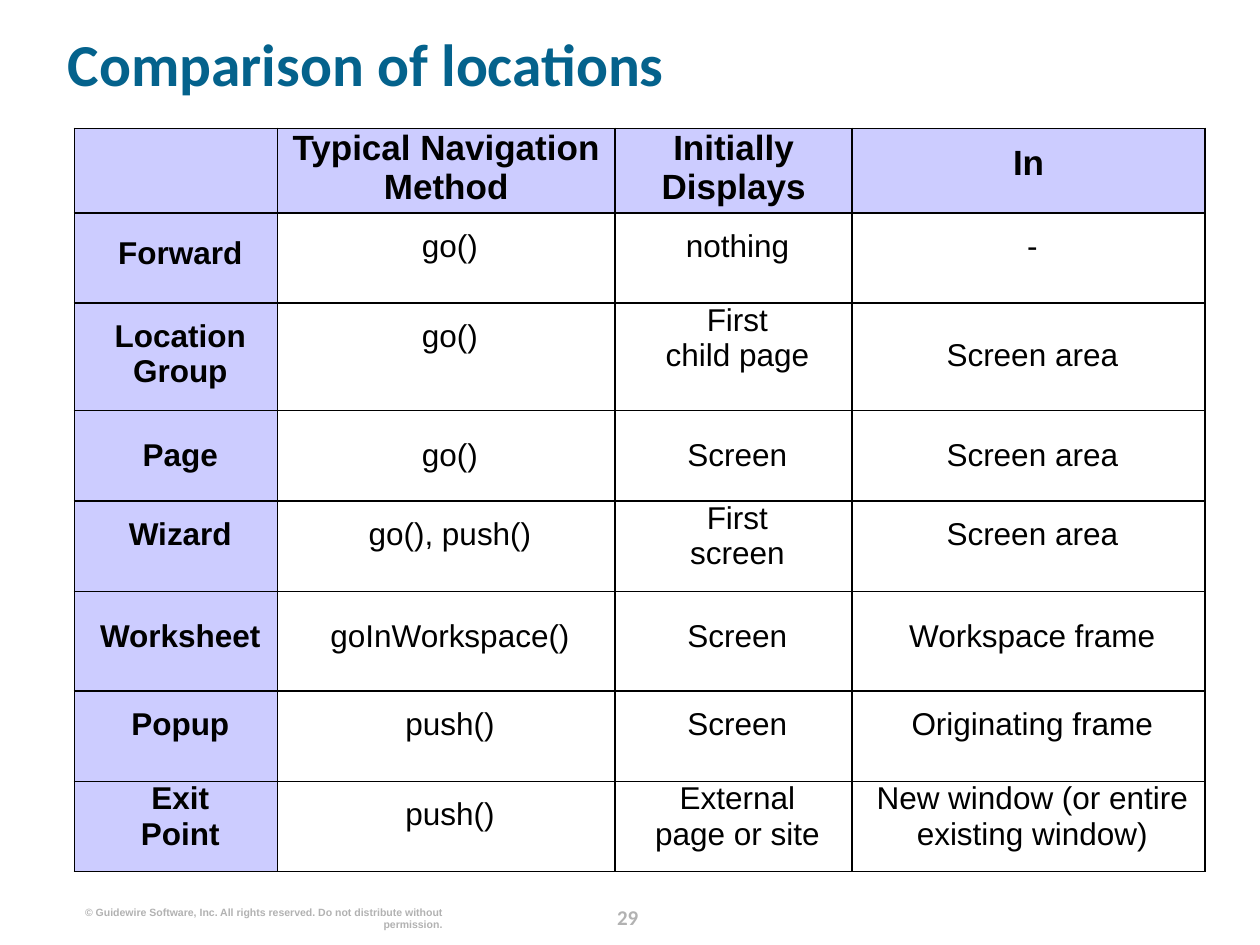
from dataclasses import dataclass

from lxml import etree
from pptx import Presentation
from pptx.dml.color import RGBColor
from pptx.enum.text import MSO_ANCHOR, MSO_AUTO_SIZE, PP_ALIGN
from pptx.oxml.ns import qn
from pptx.util import Cm, Pt

LEFT, CENTER, RIGHT = PP_ALIGN.LEFT, PP_ALIGN.CENTER, PP_ALIGN.RIGHT
TOP, MIDDLE = MSO_ANCHOR.TOP, MSO_ANCHOR.MIDDLE
FIXED = MSO_AUTO_SIZE.NONE
SIDES = ("a:lnL", "a:lnR", "a:lnT", "a:lnB")


@dataclass(frozen=True)
class Font:
    name: str
    size: float
    color: str
    bold: bool = False


@dataclass(frozen=True)
class Theme:
    title: Font = Font("Calibri", 34, "04628C", True)
    head: Font = Font("Arial", 20, "000000", True)
    label: Font = Font("Arial", 18, "000000", True)
    body: Font = Font("Arial", 18, "000000")
    number: Font = Font("Calibri", 12, "B2B2B2", True)
    legal: Font = Font("Arial", 6, "B2B2B2", True)
    band: str = "CCCCFF"
    border: str = "000000"
    line: float = 1.12


@dataclass(frozen=True)
class Box:
    left: float
    top: float
    width: float
    height: float


@dataclass(frozen=True)
class Row:
    height: float
    texts: tuple[str, ...]
    drops: tuple[int, ...]


THEME = Theme()
GRID = Box(1.5, 2.59, 22.79, 14.98)
WIDTHS = (4.09, 6.81, 4.78, 7.11)
ROWS = (
    Row(1.7, ("", "Typical Navigation\nMethod", "Initially\nDisplays", "In"),
        (0, 0, 0, 8)),
    Row(1.82, ("Forward", "go()", "nothing", "-"), (12, 8, 8, 8)),
    Row(2.17, ("Location\nGroup", "go()", "First\nchild page", "Screen area"),
        (8, 8, 0, 18)),
    Row(1.82, ("Page", "go()", "Screen", "Screen area"), (14,) * 4),
    Row(1.82, ("Wizard", "go(), push()", "First\nscreen", "Screen area"),
        (8, 8, 0, 8)),
    Row(2.01, ("Worksheet", "goInWorkspace()", "Screen", "Workspace frame"),
        (14,) * 4),
    Row(1.82, ("Popup", "push()", "Screen", "Originating frame"), (8,) * 4),
    Row(1.82, ("Exit\nPoint", "push()", "External\npage or site",
               "New window (or entire existing window)"), (0, 8, 0, 0)),
)


def write(frame, text: str, font: Font, align) -> None:
    para = frame.paragraphs[0]
    para.text = text
    para.alignment = align
    para.space_before = Pt(0)
    para.font.name = font.name
    para.font.size = Pt(font.size)
    para.font.bold = font.bold
    para.font.color.rgb = RGBColor.from_string(font.color)


def place(shape, box: Box, anchor) -> None:
    shape.left, shape.top = Cm(box.left), Cm(box.top)
    shape.width, shape.height = Cm(box.width), Cm(box.height)
    frame = shape.text_frame
    frame.margin_left = frame.margin_right = 0
    frame.margin_top = frame.margin_bottom = 0
    frame.auto_size = FIXED
    frame.word_wrap = True
    frame.vertical_anchor = anchor


def add_text(slide, box: Box, text: str, font: Font, align):
    shape = slide.shapes.add_textbox(0, 0, 0, 0)
    place(shape, box, TOP)
    write(shape.text_frame, text, font, align)
    return shape


def frame_cell(cell) -> None:
    props = cell._tc.get_or_add_tcPr()
    for spot, side in enumerate(SIDES):
        line = etree.Element(qn(side), w=str(Pt(1)))
        fill = etree.SubElement(line, qn("a:solidFill"))
        etree.SubElement(fill, qn("a:srgbClr"), val=THEME.border)
        props.insert(spot, line)


def fill_cell(cell, text: str, drop: int, font: Font, indent: float,
              shade: bool) -> None:
    cell.margin_left = Cm(indent)
    cell.margin_right = cell.margin_bottom = 0
    cell.margin_top = Pt(drop * THEME.line)
    cell.vertical_anchor = TOP
    if shade:
        cell.fill.solid()
        cell.fill.fore_color.rgb = RGBColor.from_string(THEME.band)
    else:
        cell.fill.background()
    write(cell.text_frame, text, font, CENTER)
    frame_cell(cell)


def add_grid(slide) -> None:
    table = slide.shapes.add_table(
        len(ROWS), len(WIDTHS), Cm(GRID.left), Cm(GRID.top),
        Cm(GRID.width), Cm(GRID.height)).table
    for col, width in zip(table.columns, WIDTHS):
        col.width = Cm(width)
    for r, row in enumerate(ROWS):
        table.rows[r].height = Cm(row.height)
        for c, (text, drop) in enumerate(zip(row.texts, row.drops)):
            if r == 0:
                font, indent = THEME.head, 0
            elif c == 0:
                font, indent = THEME.label, 0.18
            else:
                font, indent = THEME.body, 0.15
            fill_cell(table.cell(r, c), text, drop, font, indent,
                      r == 0 or c == 0)


def main() -> None:
    deck = Presentation()
    deck.slide_width, deck.slide_height = Cm(25.4), Cm(19.05)
    slide = deck.slides.add_slide(deck.slide_layouts[5])
    title = slide.shapes.title
    place(title, Box(1.37, 0.33, 23.11, 2.06), MIDDLE)
    write(title.text_frame, "Comparison of locations", THEME.title, LEFT)
    title.text_frame.paragraphs[0].line_spacing = 0.9
    add_grid(slide)
    number = add_text(slide, Box(11.93, 18.1, 1.45, 0.64), "29",
                      THEME.number, CENTER)
    number.text_frame.paragraphs[0].line_spacing = Pt(18)
    add_text(slide, Box(1.55, 18.26, 7.37, 0.25),
             "© Guidewire Software, Inc. All rights reserved. "
             "Do not distribute without permission.", THEME.legal, RIGHT)
    deck.save("out.pptx")


if __name__ == "__main__":
    main()
